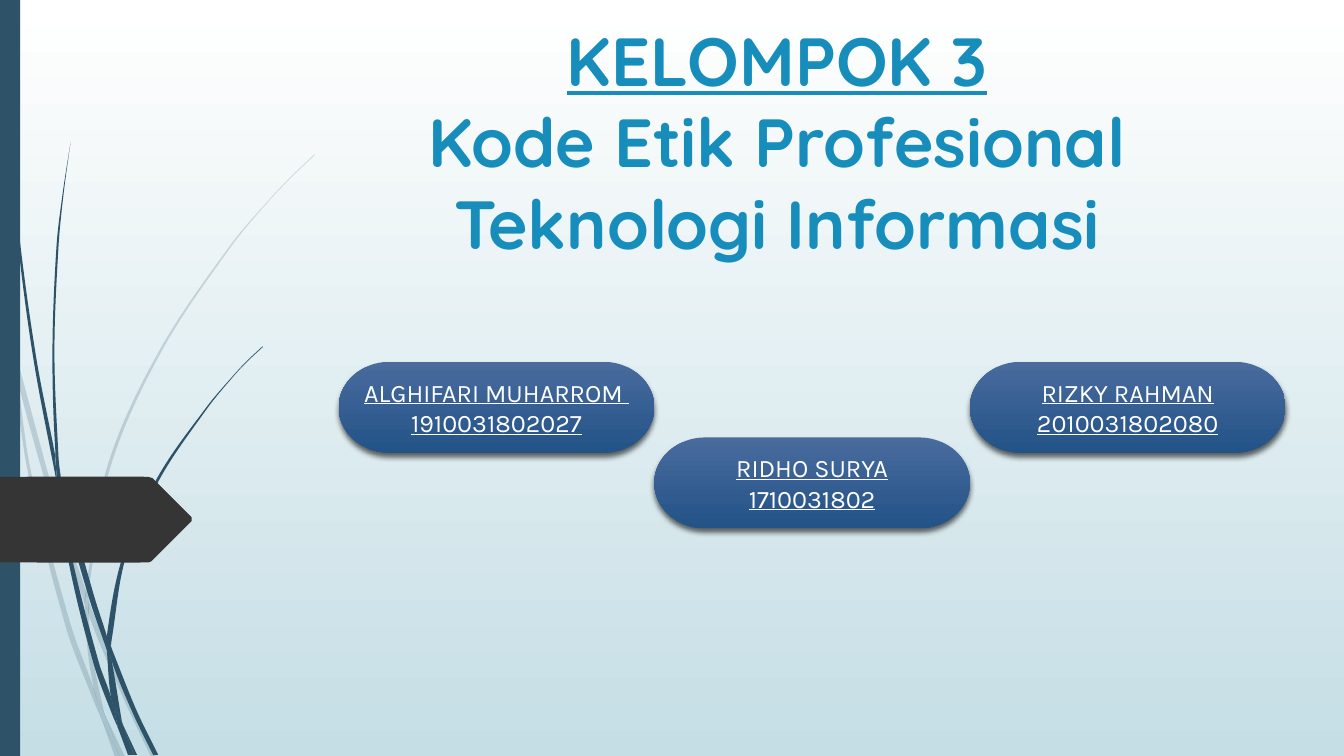
from math import atan2, degrees, hypot

from lxml.etree import SubElement
from pptx import Presentation
from pptx.dml.color import RGBColor
from pptx.enum.shapes import MSO_SHAPE
from pptx.enum.text import MSO_ANCHOR, MSO_AUTO_SIZE, PP_ALIGN
from pptx.oxml.ns import qn
from pptx.util import Pt

PX = 9144  # EMU in one px, 100 px to the inch
WIDTH, HEIGHT = 1333, 750
SHARPEST_BEND = 35  # degrees; a larger turn is drawn as a corner
COLORS = {
    "sky_top": "FFFFFF", "sky_bottom": "C5DEE5",
    "stem": "2E5369", "arrow": "353535", "title": "178DBB",
    "pill_top": "496B9E", "pill_bottom": "235387",
    "pill_text": "FFFFFF", "shadow": "000000",
}

# Outlines of the grass blades, corner by corner
PALE_BLADES = [
    [(11, 350), (9, 322), (0, 282), (0, 299), (10, 344)],
    [(58, 522), (84, 599), (85, 586), (62, 520), (14, 345), (17, 376)],
    [(92, 607), (88, 596), (88, 610), (123, 694), (150, 751), (155, 751), (127, 692)],
    [(119, 751), (124, 751), (105, 711)],
    [(93, 683), (70, 619), (31, 469), (17, 376), (11, 350), (28, 470),
     (65, 621), (92, 693), (101, 714), (99, 707)],
    [(84, 599), (87, 646), (93, 683), (96, 692), (105, 711), (103, 706),
     (91, 646), (88, 610), (88, 608)],
    [(88, 584), (110, 462), (160, 349), (229, 245), (268, 198), (290, 175),
     (312, 154), (312, 153), (289, 175), (268, 197), (228, 244), (158, 348),
     (107, 461), (85, 584), (85, 586), (88, 596)],
    [(101, 714), (114, 751), (119, 751)],
    [(88, 608), (88, 610), (88, 596), (85, 586), (84, 599)],
    [(96, 692), (93, 683), (99, 707), (101, 714), (119, 751), (105, 711)],
]
DARK_BLADES = [
    [(7, 110), (17, 233), (33, 355), (56, 477), (57, 481), (55, 457), (55, 453),
     (36, 355), (19, 232), (8, 109), (5, 48), (4, 0), (3, 0), (4, 48)],
    [(88, 592), (106, 645), (106, 633), (106, 631), (93, 590), (60, 472), (64, 505)],
    [(113, 649), (110, 641), (111, 656), (132, 708), (152, 749), (157, 749), (136, 706)],
    [(110, 691), (98, 657), (72, 556), (64, 505), (57, 477), (68, 557),
     (93, 659), (111, 708), (117, 722), (116, 717)],
    [(60, 472), (58, 453), (54, 349), (58, 245), (63, 193), (70, 141),
     (62, 193), (56, 245), (52, 349), (55, 449)],
    [(133, 749), (136, 749), (122, 719)],
    [(57, 477), (64, 505), (60, 472), (55, 449), (55, 453)],
    [(111, 633), (125, 552), (158, 476), (205, 406), (231, 374), (245, 359),
     (261, 344), (260, 344), (245, 358), (231, 373), (204, 405), (156, 474),
     (122, 551), (106, 631), (110, 641)],
    [(117, 722), (127, 749), (131, 749)],
    [(106, 645), (110, 691), (116, 706), (122, 719), (121, 716), (111, 656), (109, 651)],
    [(106, 645), (109, 651), (111, 656), (110, 641), (106, 631), (106, 633)],
    [(116, 706), (110, 691), (116, 717), (117, 722), (130, 749), (133, 749), (122, 719)],
]
ARROW = [(147, 558), (150, 557), (151, 556), (190, 517), (190, 513),
         (151, 474), (150, 474), (147, 473), (0, 473), (0, 558)]
MEMBERS = [
    ("ALGHIFARI MUHARROM ", "1910031802027"),
    ("RIDHO SURYA", "1710031802"),
    ("RIZKY RAHMAN", "2010031802080"),
]


def heading(before, point, after):
    """Unit direction of the curve at a point, or None at a corner."""
    turn = degrees(atan2(after[1] - point[1], after[0] - point[0])
                   - atan2(point[1] - before[1], point[0] - before[0]))
    if abs((turn + 180) % 360 - 180) > SHARPEST_BEND:
        return None
    dx, dy = after[0] - before[0], after[1] - before[1]
    return dx / hypot(dx, dy), dy / hypot(dx, dy)


def handle(point, other, direction, sign):
    """Control point a third of the way from a point to the other one."""
    if direction is None:
        return tuple(p + (q - p) / 3 for p, q in zip(point, other))
    reach = sign * hypot(other[0] - point[0], other[1] - point[1]) / 3
    return tuple(p + reach * d for p, d in zip(point, direction))


class SlideMaker:
    title_font, title_size = "Quicksand", 48.6
    pill_font, pill_size = "Karla", 18

    def __init__(self, page):
        self.page = page

    def color(self, name):
        return RGBColor.from_string(COLORS[name])

    def gradient(self, fill, top, bottom):
        fill.gradient()
        fill.gradient_angle = 270
        for stop, name in zip(fill.gradient_stops, (top, bottom)):
            stop.color.rgb = self.color(name)

    def paint(self, shape, name, opacity=100):
        shape.shadow.inherit = False
        shape.line.fill.background()
        shape.fill.solid()
        shape.fill.fore_color.rgb = self.color(name)
        if opacity < 100:
            tint = shape.fill._xPr.find(".//" + qn("a:srgbClr"))
            SubElement(tint, qn("a:alpha"), val=str(opacity * 1000))

    def outline(self, points, name, opacity=100):
        ring = [*points[1:], points[0]]
        builder = self.page.shapes.build_freeform(*(v * PX for v in points[0]), scale=1.0)
        builder.add_line_segments([(x * PX, y * PX) for x, y in ring], close=True)
        shape = builder.convert_to_shape()
        # Turn the straight sides into curves
        left, top = (min(values) for values in zip(*points))
        headings = [heading(*trio) for trio in zip([points[-1], *points], points, ring)]
        sides = zip(points, ring, headings, [*headings[1:], headings[0]])
        for line, (start, end, leaving, arriving) in zip(
                list(shape._element.iter(qn("a:lnTo"))), sides):
            line.tag = qn("a:cubicBezTo")
            line.remove(line[0])
            for x, y in (handle(start, end, leaving, 1), handle(end, start, arriving, -1), end):
                SubElement(line, qn("a:pt"), x=str(round((x - left) * PX)),
                           y=str(round((y - top) * PX)))
        self.paint(shape, name, opacity)

    def bar(self, x, y, width, height, name):
        box = self.page.shapes.add_shape(
            MSO_SHAPE.RECTANGLE, x * PX, y * PX, width * PX, height * PX)
        self.paint(box, name)

    def span(self, para, text, font, size, name, bold=False, underline=False):
        span = para.add_run()
        span.text = text
        span.font.name, span.font.size = font, Pt(size)
        span.font.bold, span.font.underline = bold, underline
        span.font.color.rgb = self.color(name)

    def title(self, x, y, width, height, group, topic):
        box = self.page.shapes.title
        box.left, box.top, box.width, box.height = (
            value * PX for value in (x, y, width, height))
        frame = box.text_frame
        frame.auto_size, frame.word_wrap = MSO_AUTO_SIZE.NONE, True
        frame.vertical_anchor = MSO_ANCHOR.BOTTOM
        para = frame.paragraphs[0]
        para.alignment, para.line_spacing = PP_ALIGN.CENTER, 1.0
        style = (self.title_font, self.title_size, "title", True)
        self.span(para, group, *style, underline=True)
        para.add_line_break()
        self.span(para, topic, *style)

    def pill(self, x, y, width, height, lines):
        box = self.page.shapes.add_shape(
            MSO_SHAPE.FLOWCHART_TERMINATOR, x * PX, y * PX, width * PX, height * PX)
        box.line.fill.background()
        self.gradient(box.fill, "pill_top", "pill_bottom")
        # Soft shadow straight below
        box.shadow.inherit = False
        effects = box._element.spPr.find(qn("a:effectLst"))
        shadow = SubElement(effects, qn("a:outerShdw"), blurRad=str(Pt(4)),
                            dist=str(Pt(3)), dir="5400000", rotWithShape="0")
        tint = SubElement(shadow, qn("a:srgbClr"), val=COLORS["shadow"])
        SubElement(tint, qn("a:alpha"), val="60000")
        # Name and number
        frame = box.text_frame
        frame.word_wrap, frame.vertical_anchor = True, MSO_ANCHOR.MIDDLE
        for index, line in enumerate(lines):
            para = frame.add_paragraph() if index else frame.paragraphs[0]
            para.alignment = PP_ALIGN.CENTER
            self.span(para, line, self.pill_font, self.pill_size, "pill_text", underline=True)


def main():
    deck = Presentation()
    deck.slide_width, deck.slide_height = WIDTH * PX, HEIGHT * PX
    page = deck.slides.add_slide(deck.slide_layouts[5])
    maker = SlideMaker(page)
    # Background and grass
    maker.gradient(page.background.fill, "sky_top", "sky_bottom")
    for blades, opacity in ((PALE_BLADES, 20), (DARK_BLADES, 100)):
        for blade in blades:
            maker.outline(blade, "stem", opacity)
    # Side bar and arrow
    maker.bar(0, 0, 20, HEIGHT, "stem")
    maker.outline(ARROW, "arrow")
    # Title
    maker.title(283, 19, 975, 247, "KELOMPOK 3", "Kode Etik Profesional Teknologi Informasi")
    # Group members, the middle one lower
    for index, lines in enumerate(MEMBERS):
        maker.pill(336 + index * 313, 359 + index % 2 * 75, 313, 90, lines)
    deck.save("out.pptx")


if __name__ == "__main__":
    main()
